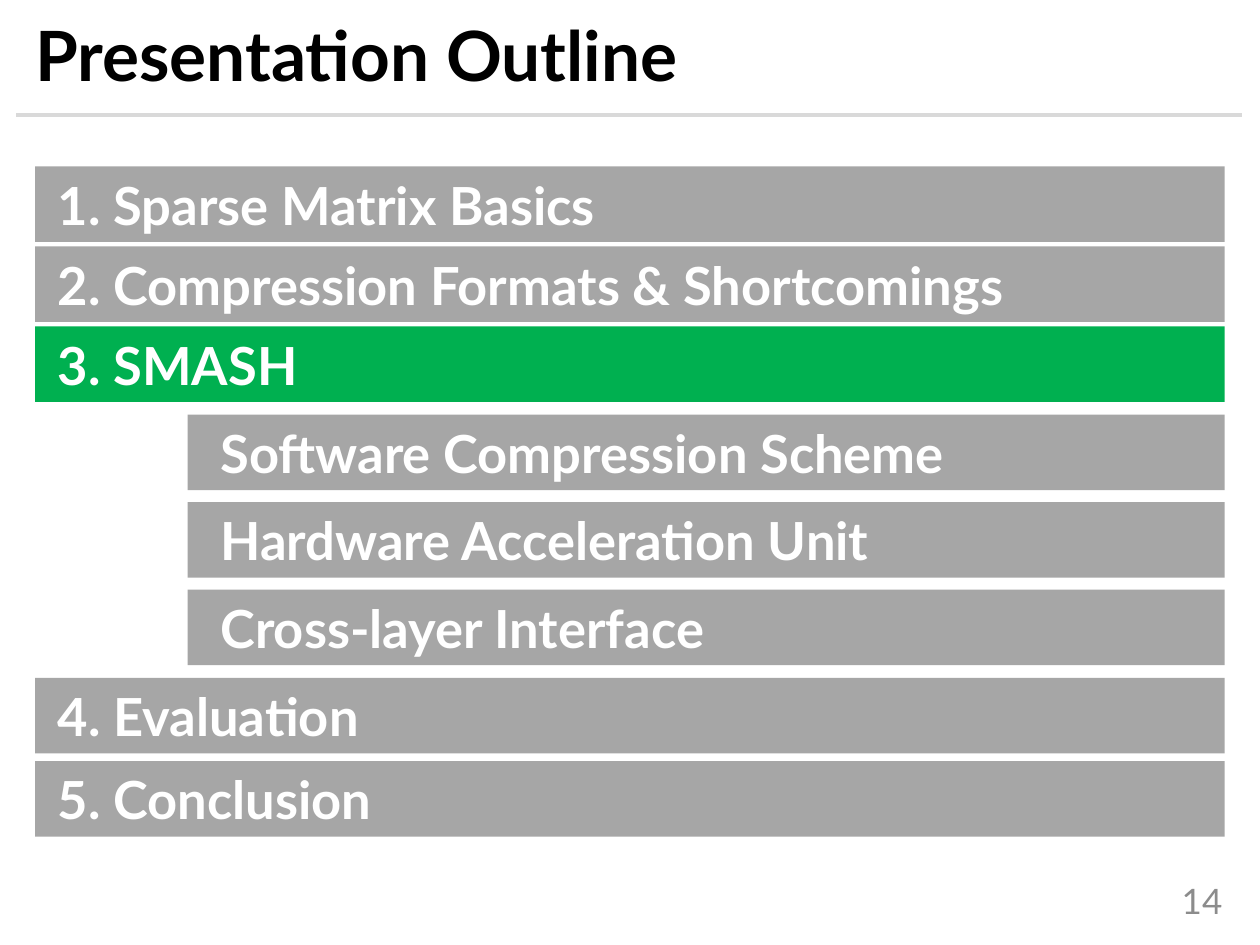
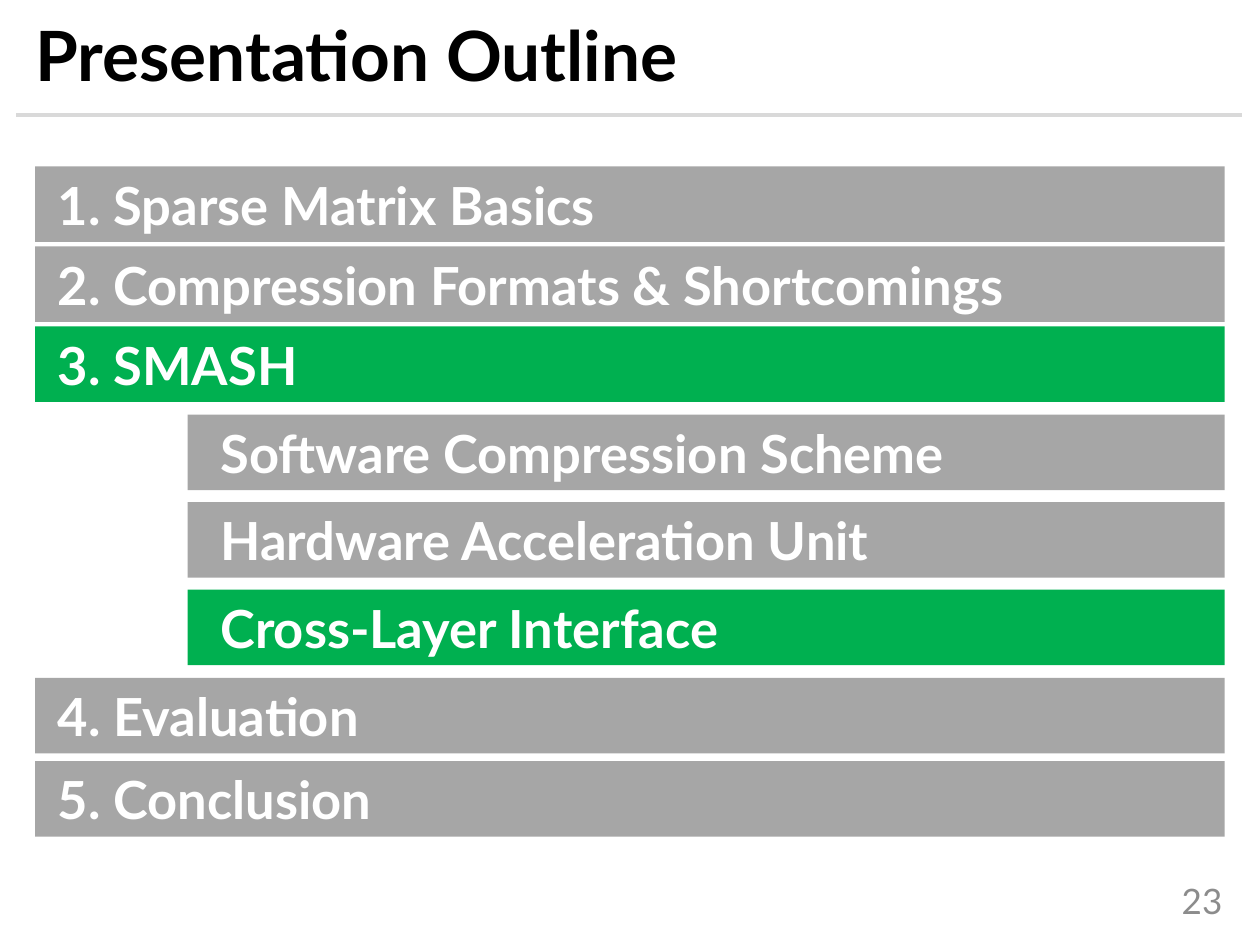
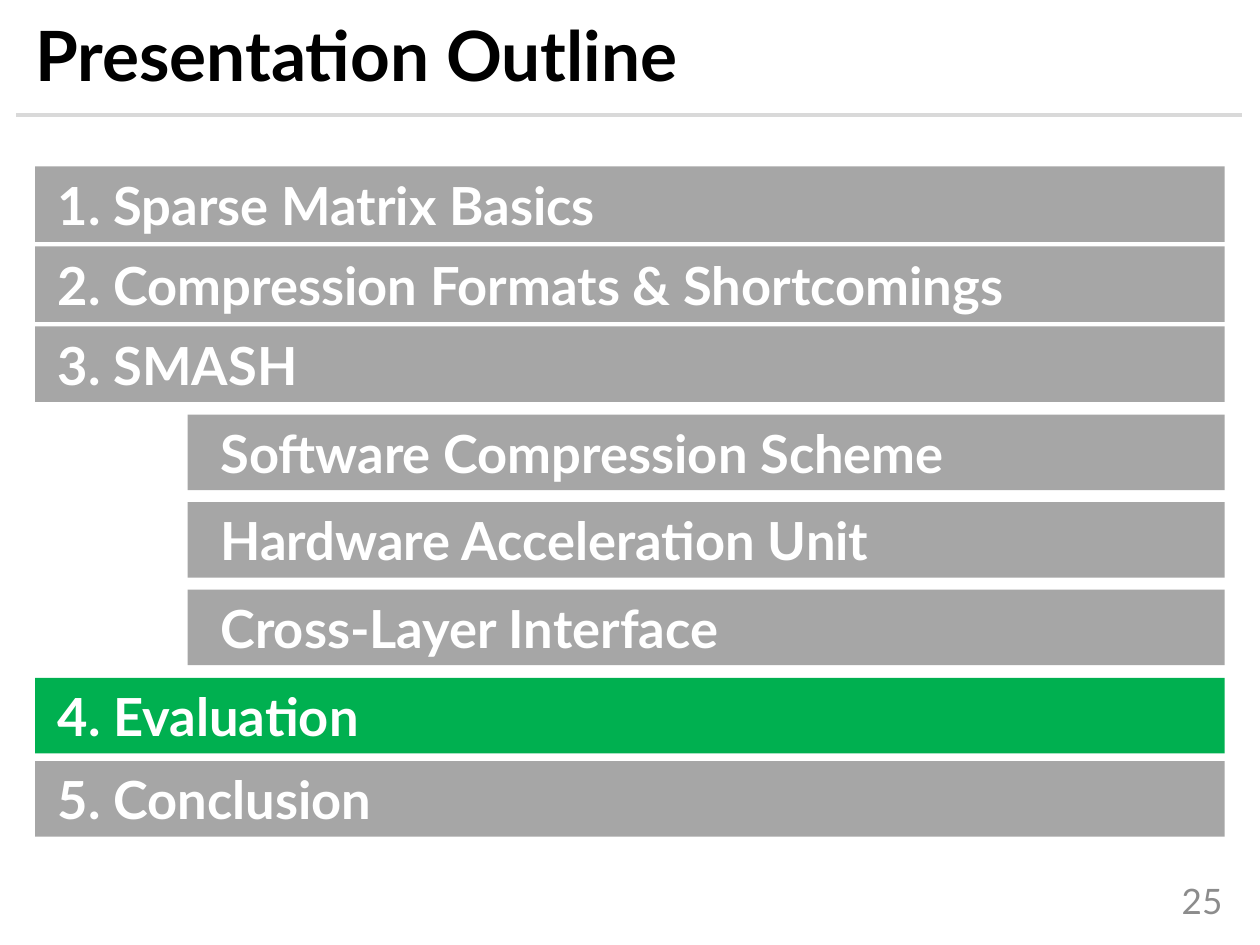
from pptx import Presentation
from pptx.dml.color import RGBColor
from pptx.enum.shapes import MSO_CONNECTOR, MSO_SHAPE
from pptx.enum.text import MSO_ANCHOR, MSO_AUTO_SIZE, PP_ALIGN
from pptx.oxml.ns import qn
from pptx.util import Inches, Pt
from lxml import etree

LEFT, RIGHT = PP_ALIGN.LEFT, PP_ALIGN.RIGHT
MIDDLE = MSO_ANCHOR.MIDDLE
NO_FIT = MSO_AUTO_SIZE.NONE
RECTANGLE = MSO_SHAPE.RECTANGLE
STRAIGHT = MSO_CONNECTOR.STRAIGHT

BLACK = RGBColor(0x00, 0x00, 0x00)
WHITE = RGBColor(0xFF, 0xFF, 0xFF)
BAR_GRAY = RGBColor(0xA6, 0xA6, 0xA6)
CURRENT_GREEN = RGBColor(0x00, 0xB0, 0x50)
RULE_GRAY = RGBColor(0xD9, 0xD9, 0xD9)
PAGE_GRAY = RGBColor(0x8C, 0x8C, 0x8C)

FONT = "Lato"
TITLE_FONT = {"name": FONT, "size": Pt(39.6), "bold": True}
BAR_FONT = {"name": FONT, "size": Pt(30), "bold": True}
PAGE_FONT = {"name": FONT, "size": Pt(20), "bold": False}

SLIDE_W, SLIDE_H = 10, 7.5
BAR_H = 0.6
BAR_RIGHT = 9.72
SECTION = {"left": 0.28, "indent": 0.18}
PART = {"left": 1.49, "indent": 0.26}

SMASH = "3. SMASH"
EVALUATION = "4. Evaluation"
INTERFACE = "Cross-Layer Interface"
PAGES = [
    (14, "Cross-layer Interface", {SMASH}),
    (23, INTERFACE, {SMASH, INTERFACE}),
    (25, INTERFACE, {EVALUATION}),
]


def write(tf, text, font, color, align=LEFT):
    """Put one formatted line, centred vertically, in a text frame."""
    tf.auto_size = NO_FIT
    tf.word_wrap = True
    tf.vertical_anchor = MIDDLE
    p = tf.paragraphs[0]
    p.alignment = align
    r = p.add_run()
    r.text = text
    for name, value in font.items():
        setattr(r.font, name, value)
    r.font.color.rgb = color
    return p


def add_title(s, text):
    """Place and fill the title placeholder."""
    sp = s.shapes.title
    box = {"left": 0.18, "top": 0.14, "width": 9.73, "height": 0.66}
    for name, value in box.items():
        setattr(sp, name, Inches(value))
    write(sp.text_frame, text, TITLE_FONT, BLACK).line_spacing = 0.9


def add_rule(s):
    """Draw the line under the title."""
    ends = [Inches(n) for n in (0.13, 0.91, 9.86, 0.91)]
    line = s.shapes.add_connector(STRAIGHT, *ends)
    line.line.color.rgb = RULE_GRAY
    line.line.width = Pt(2.25)
    etree.SubElement(line._element.spPr, qn("a:effectLst"))


def add_page_number(s, number):
    """Write the page number at the bottom right."""
    box = [Inches(n) for n in (8.72, 6.95, 1.08, 0.4)]
    sp = s.shapes.add_textbox(*box)
    write(sp.text_frame, str(number), PAGE_FONT, PAGE_GRAY, RIGHT)


def add_bar(s, label, top, level, fill):
    """Draw one outline entry that reaches the right margin."""
    left = level["left"]
    box = [Inches(n) for n in (left, top, BAR_RIGHT - left, BAR_H)]
    sp = s.shapes.add_shape(RECTANGLE, *box)
    sp.shadow.inherit = False
    sp.fill.solid()
    sp.fill.fore_color.rgb = fill
    sp.line.fill.background()
    sp.text_frame.margin_left = Inches(level["indent"])
    write(sp.text_frame, label, BAR_FONT, WHITE)


def add_group(s, labels, first_top, last_top, level, current):
    """Spread a group of bars evenly between its first and last top."""
    step = (last_top - first_top) / (len(labels) - 1)
    for i, label in enumerate(labels):
        fill = CURRENT_GREEN if label in current else BAR_GRAY
        add_bar(s, label, first_top + i * step, level, fill)


def add_outline_slide(prs, number, interface, current):
    """Add one outline slide with its current entries highlighted."""
    s = prs.slides.add_slide(prs.slide_layouts.get_by_name("Title Only"))
    add_title(s, "Presentation Outline")
    add_rule(s)
    opening = ["1. Sparse Matrix Basics",
               "2. Compression Formats & Shortcomings", SMASH]
    parts = ["Software Compression Scheme",
             "Hardware Acceleration Unit", interface]
    closing = [EVALUATION, "5. Conclusion"]
    add_group(s, opening, 1.32, 2.59, SECTION, current)
    add_group(s, parts, 3.29, 4.68, PART, current)
    add_group(s, closing, 5.38, 6.04, SECTION, current)
    add_page_number(s, number)


def main():
    """Build the outline slides and save them."""
    prs = Presentation()
    prs.slide_width, prs.slide_height = Inches(SLIDE_W), Inches(SLIDE_H)
    for page in PAGES:
        add_outline_slide(prs, *page)
    prs.save("out.pptx")


if __name__ == "__main__":
    main()
